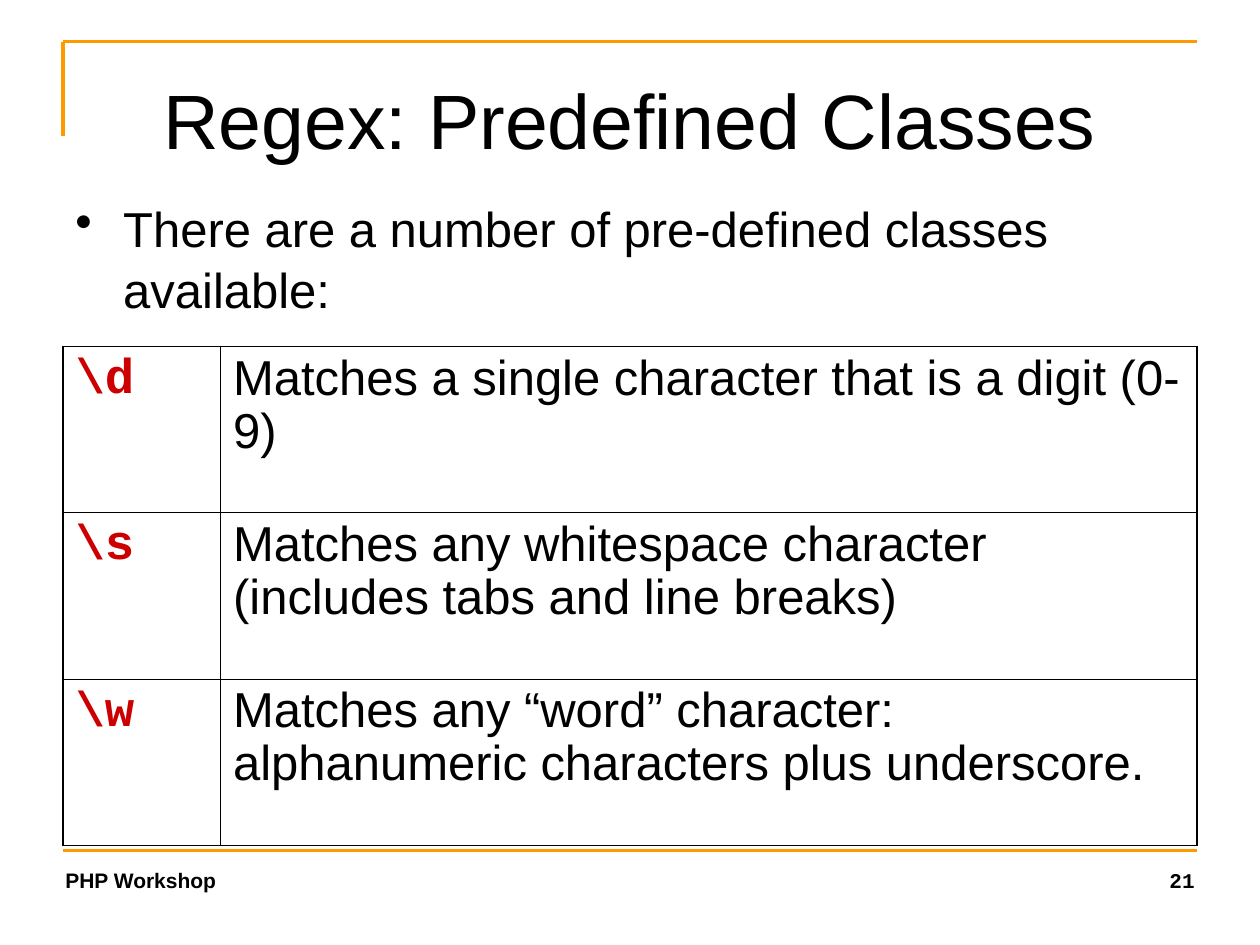
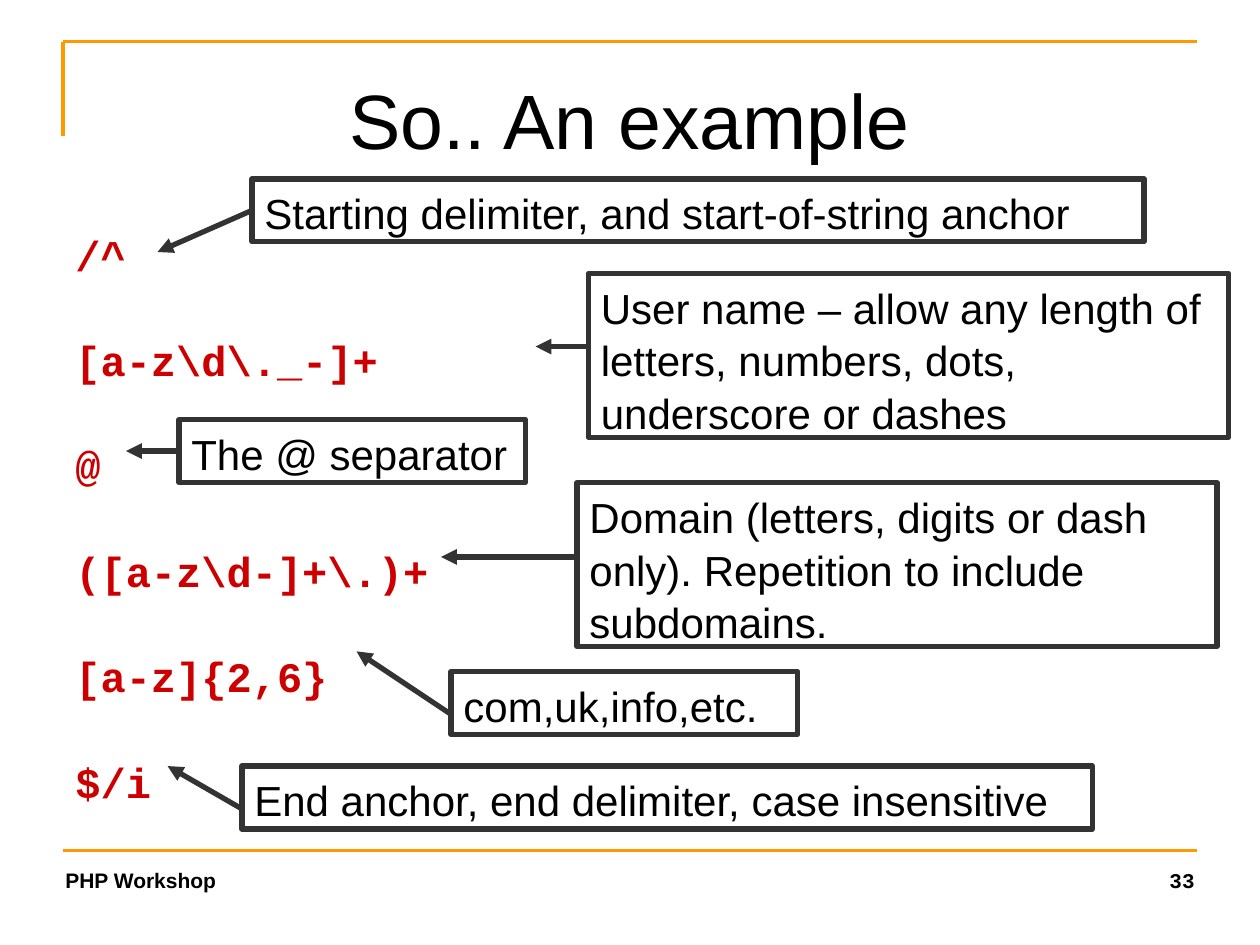
import pptx
import pptx.dml.color
import pptx.enum.shapes
import pptx.enum.text
import pptx.oxml.ns
import pptx.util
from dataclasses import dataclass
from lxml import etree
from pptx.util import Inches, Pt


@dataclass(frozen=True)
class Theme:
    sans: str = "Arial"
    mono: str = "Courier New"
    ink: str = "000000"
    code: str = "CC0000"
    rule: str = "FF9900"
    callout: str = "333333"
    title_size: int = 44
    body_size: int = 28
    example_size: int = 24
    footer_size: int = 12
    rule_width: float = 2
    callout_width: float = 3
    outer_border: float = 1.08
    inner_border: float = 0.45
    spacing: float = 1.05
    table_spacing: float = 0.97


THEME = Theme()
LEFT, RIGHT = 0.5, 9.5
WIDTH = RIGHT - LEFT
FOOTER = "PHP Workshop"
RULES = [
    ((LEFT, 6.75), (RIGHT, 6.75)),
    ((LEFT, 0.33), (RIGHT, 0.33)),
    ((LEFT, 1.08), (LEFT, 0.33)),
]

CLASSES_INTRO = "There are a number of pre-defined classes available:"
CLASSES = [
    (r"\d", "Matches a single character that is a digit (0-9)"),
    (r"\s", "Matches any whitespace character (includes tabs and line breaks)"),
    (r"\w", "Matches any “word” character: alphanumeric characters plus underscore."),
]
CLASS_COLS = (1.25, 7.75)
CLASS_ROW = 1.32

PATTERN = ["/^", r"[a-z\d\._-]+", "@", r"([a-z\d-]+\.)+", "[a-z]{2,6}", "$/i"]
CALLOUTS = [
    ("Starting delimiter, and start-of-string anchor",
     (2, 1.42, 7.08), 1, 1.67, (1.25, 2)),
    ("User name – allow any length of letters, numbers, dots, underscore or dashes",
     (4.67, 2.17, 5.08), 3, 2.75, (4.25, 2.75)),
    ("The @ separator",
     (1.42, 3.33, 2.75), 1, 3.58, (1, 3.58)),
    ("Domain (letters, digits or dash only). Repetition to include subdomains.",
     (4.58, 3.83, 5.08), 3, 4.42, (3.5, 4.42)),
    ("com,uk,info,etc.",
     (3.58, 5.33, 2.75), 1, 5.67, (2.83, 5.17)),
    ("End anchor, end delimiter, case insensitive",
     (1.92, 6.08, 6.75), 1, 6.42, (1.33, 6.08)),
]


def rgb(color):
    return pptx.dml.color.RGBColor.from_string(color)


def sub(parent, tag, **attrs):
    return etree.SubElement(parent, pptx.oxml.ns.qn(tag), attrs)


def write(p, text, size, font=THEME.sans, color=THEME.ink, bold=False,
          align="LEFT", spacing=THEME.spacing):
    p.text = text
    p.alignment = getattr(pptx.enum.text.PP_ALIGN, align)
    p.line_spacing = spacing
    p.font.size = Pt(size)
    p.font.name = font
    p.font.bold = bold
    p.font.color.rgb = rgb(color)


def add_text_frame(slide, x, y, w, h):
    tf = slide.shapes.add_textbox(Inches(x), Inches(y), Inches(w), Inches(h)).text_frame
    tf.word_wrap = True
    return tf


def add_line(slide, start, end, color, width, arrow=False):
    cn = slide.shapes.add_connector(
        pptx.enum.shapes.MSO_CONNECTOR.STRAIGHT, *map(Inches, start + end))
    cn.line.color.rgb = rgb(color)
    cn.line.width = Pt(width)
    if arrow:
        sub(cn.line._get_or_add_ln(), "a:tailEnd", type="triangle")
    sub(cn._element.spPr, "a:effectLst")


def add_slide(prs, title, number):
    slide = prs.slides.add_slide(prs.slide_layouts[5])
    for start, end in RULES:
        add_line(slide, start, end, THEME.rule, THEME.rule_width)
    for x, w, text, font, align in [
        (0.42, 2.48, FOOTER, THEME.sans, "LEFT"),
        (7.01, 2.57, str(number), THEME.mono, "RIGHT"),
    ]:
        tf = add_text_frame(slide, x, 6.83, w, 0.32)
        write(tf.paragraphs[0], text, THEME.footer_size, font, bold=True, align=align)
    sp = slide.shapes.title
    sp.left, sp.top, sp.width, sp.height = map(Inches, (LEFT, 0.3, WIDTH, 1.25))
    sp.text_frame.vertical_anchor = pptx.enum.text.MSO_ANCHOR.MIDDLE
    write(sp.text_frame.paragraphs[0], title, THEME.title_size, align="CENTER")
    return slide


def set_borders(cell, outer_sides):
    tcPr = cell._tc.get_or_add_tcPr()
    for side in "LRTB":
        width = THEME.outer_border if side in outer_sides else THEME.inner_border
        ln = sub(tcPr, f"a:ln{side}", w=str(Pt(width)))
        sub(sub(ln, "a:solidFill"), "a:srgbClr", val=THEME.ink)


def add_class_table(slide):
    last = len(CLASSES) - 1
    table = slide.shapes.add_table(
        len(CLASSES), len(CLASS_COLS), Inches(LEFT), Inches(2.75),
        Inches(WIDTH), Inches(CLASS_ROW * len(CLASSES))).table
    table.first_row = table.horz_banding = False
    for col, width in zip(table.columns, CLASS_COLS):
        col.width = Inches(width)
    for i, (code, meaning) in enumerate(CLASSES):
        table.rows[i].height = Inches(CLASS_ROW)
        vertical = ("T" if i == 0 else "") + ("B" if i == last else "")
        for j, (text, font, color, side) in enumerate([
            (code, THEME.mono, THEME.code, "L"),
            (meaning, THEME.sans, THEME.ink, "R"),
        ]):
            cell = table.cell(i, j)
            set_borders(cell, vertical + side)
            cell.fill.background()
            write(cell.text_frame.paragraphs[0], text, THEME.body_size, font, color,
                  bold=j == 0, spacing=THEME.table_spacing)


def add_callout(slide, text, box, lines, arrow_y, target):
    x, y, w = box
    sp = slide.shapes.add_shape(
        pptx.enum.shapes.MSO_SHAPE.RECTANGLE,
        Inches(x), Inches(y), Inches(w), Inches(0.1 + 0.4 * lines))
    sp.shadow.inherit = False
    sp.fill.background()
    sp.line.color.rgb = rgb(THEME.callout)
    sp.line.width = Pt(THEME.callout_width)
    tf = sp.text_frame
    tf.word_wrap = True
    tf.vertical_anchor = pptx.enum.text.MSO_ANCHOR.TOP
    write(tf.paragraphs[0], text, THEME.example_size)
    add_line(slide, (x, arrow_y), target, THEME.callout, THEME.callout_width, arrow=True)


def build_classes(prs):
    slide = add_slide(prs, "Regex: Predefined Classes", 21)
    p = add_text_frame(slide, LEFT, 1.5, WIDTH, 1.08).paragraphs[0]
    pPr = p._p.get_or_add_pPr()
    pPr.set("marL", str(Inches(0.38)))
    pPr.set("indent", str(Inches(-0.38)))
    sub(pPr, "a:buChar", char="•")
    write(p, CLASSES_INTRO, THEME.body_size)
    add_class_table(slide)


def build_example(prs):
    slide = add_slide(prs, "So.. An example", 33)
    tf = add_text_frame(slide, LEFT, 1.75, WIDTH, 4.95)
    for i, part in enumerate(PATTERN):
        p = tf.add_paragraph() if i else tf.paragraphs[0]
        write(p, part, THEME.example_size, THEME.mono, THEME.code, bold=True)
        if i:
            p.space_before = Pt(30)
    for callout in CALLOUTS:
        add_callout(slide, *callout)


def main():
    prs = pptx.Presentation()
    prs.slide_width, prs.slide_height = Inches(10), Inches(7.5)
    build_classes(prs)
    build_example(prs)
    prs.save("out.pptx")


if __name__ == "__main__":
    main()
